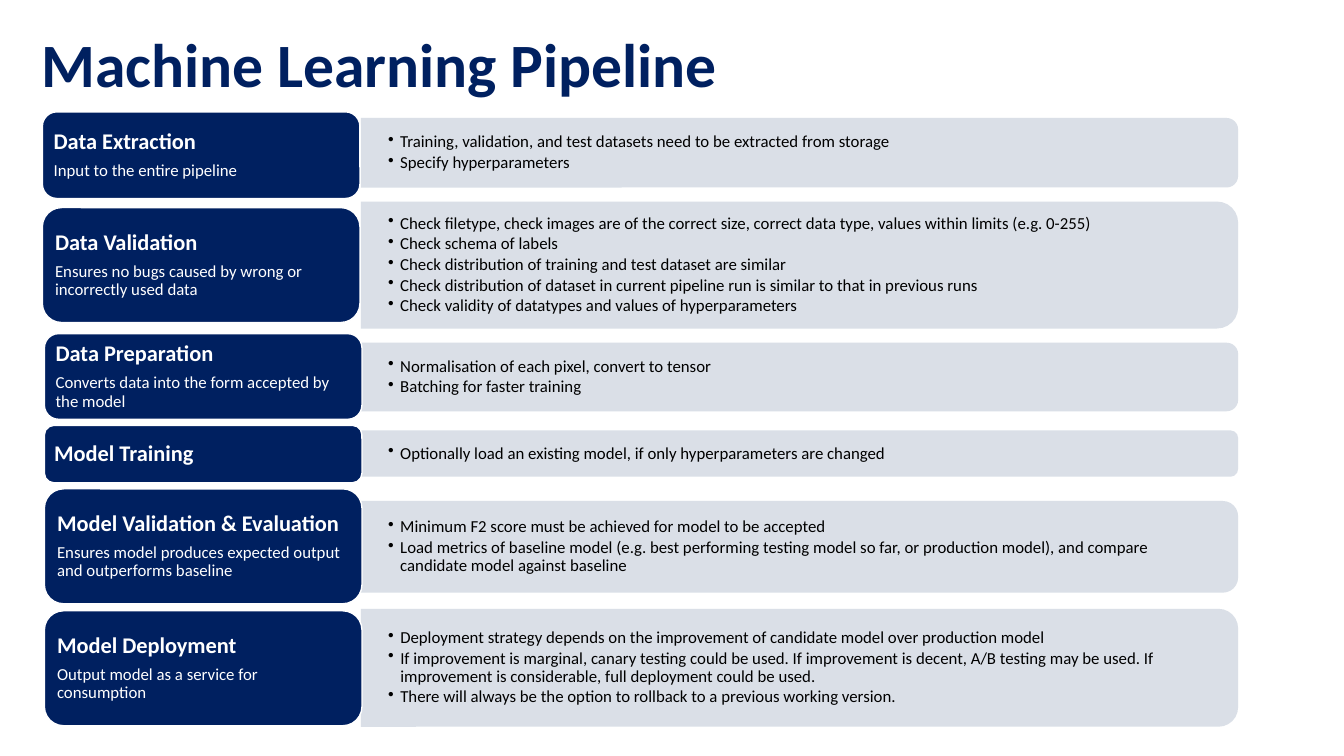
import pptx
import pptx.dml.color
import pptx.enum.shapes
import pptx.enum.text
import pptx.oxml.ns
import pptx.util
from lxml import etree

Inches = pptx.util.Inches
Pt = pptx.util.Pt
RGBColor = pptx.dml.color.RGBColor
Shape = pptx.enum.shapes.MSO_SHAPE
qn = pptx.oxml.ns.qn

NAVY = RGBColor(0x00, 0x20, 0x60)
PALE = RGBColor(0xD6, 0xDC, 0xE5)
WHITE = RGBColor(0xFF, 0xFF, 0xFF)
BLACK = RGBColor(0x00, 0x00, 0x00)

STAGES = [
    (0.42, 1.11, 0.86, 1.17, 0.69, "Data Extraction", "Input to the entire pipeline", [
        "Training, validation, and test datasets need to be extracted from storage",
        "Specify hyperparameters",
    ]),
    (0.42, 2.06, 1.14, 2.0, 1.26, "Data Validation",
     "Ensures no bugs caused by wrong or incorrectly used data", [
        "Check filetype, check images are of the correct size, correct data type, "
        "values within limits (e.g. 0-255)",
        "Check schema of labels",
        "Check distribution of training and test dataset are similar",
        "Check distribution of dataset in current pipeline run is similar to that in previous runs",
        "Check validity of datatypes and values of hyperparameters",
     ]),
    (0.44, 3.31, 0.85, 3.4, 0.68, "Data Preparation",
     "Converts data into the form accepted by the model", [
        "Normalisation of each pixel, convert to tensor",
        "Batching for faster training",
     ]),
    (0.44, 4.22, 0.57, 4.27, 0.46, "Model Training", None, [
        "Optionally load an existing model, if only hyperparameters are changed",
    ]),
    (0.44, 4.85, 1.14, 4.97, 0.91, "Model Validation & Evaluation",
     "Ensures model produces expected output and outperforms baseline", [
        "Minimum F2 score must be achieved for model to be accepted",
        "Load metrics of baseline model (e.g. best performing testing model so far, "
        "or production model), and compare candidate model against baseline",
     ]),
    (0.44, 6.06, 1.14, 6.04, 1.17, "Model Deployment",
     "Output model as a service for consumption", [
        "Deployment strategy depends on the improvement of candidate model over production model",
        "If improvement is marginal, canary testing could be used. If improvement is decent, "
        "A/B testing may be used. If improvement is considerable, full deployment could be used.",
        "There will always be the option to rollback to a previous working version.",
     ]),
]


class PipelineSlide:
    """Holds the pipeline's style and draws its parts on one slide."""

    font = "Calibri"
    card_width = 3.15
    panel_left = 3.58
    panel_width = 8.7

    def __init__(self, slide):
        self.slide = slide

    def frame(self, holder, inset_x, inset_y):
        frame = holder.text_frame
        frame.word_wrap = True
        frame.vertical_anchor = pptx.enum.text.MSO_ANCHOR.MIDDLE
        frame.margin_left = frame.margin_right = Inches(inset_x)
        frame.margin_top = frame.margin_bottom = Inches(inset_y)
        return frame

    def add_lines(self, frame, lines, gap, bullet=False):
        for index, (words, size, color, bold) in enumerate(lines):
            line = frame.add_paragraph() if index else frame.paragraphs[0]
            line.alignment = pptx.enum.text.PP_ALIGN.LEFT
            line.line_spacing = 0.9
            line.space_after = Pt(gap * size)
            if bullet:
                line.level = 1
                props = line._p.get_or_add_pPr()
                props.set("marL", str(Inches(0.12)))
                props.set("indent", str(Inches(-0.12)))
                etree.SubElement(props, qn("a:buChar")).set("char", "•")
            run = line.add_run()
            run.text = words
            run.font.name = self.font
            run.font.size = Pt(size)
            run.font.bold = bold
            run.font.color.rgb = color

    def block(self, kind, left, top, width, height, color):
        block = self.slide.shapes.add_shape(
            kind, Inches(left), Inches(top), Inches(width), Inches(height))
        block.shadow.inherit = False
        block.fill.solid()
        block.fill.fore_color.rgb = color
        return block

    def textbox(self, left, top, width, height):
        return self.slide.shapes.add_textbox(
            Inches(left), Inches(top), Inches(width), Inches(height))

    def title(self, words):
        heading = self.textbox(0.31, 0.2, 11.18, 0.94)
        self.add_lines(self.frame(heading, 0.1, 0.05), [(words, 44, NAVY, True)], 0)

    def panel(self, top, height, details):
        left = self.panel_left + (self.panel_width - height) / 2
        panel = self.block(Shape.ROUND_2_SAME_RECTANGLE, left,
                           top + (height - self.panel_width) / 2,
                           height, self.panel_width, PALE)
        panel.rotation = 90
        panel.line.fill.background()
        tint = panel._element.spPr.find(".//" + qn("a:srgbClr"))
        etree.SubElement(tint, qn("a:alpha")).set("val", "90000")
        inset = 0.05 * height
        notes = self.textbox(self.panel_left, top + inset,
                             self.panel_width - inset, height - 2 * inset)
        self.add_lines(self.frame(notes, 0.27, 0.14),
                       [(detail, 12, BLACK, False) for detail in details], 0.15, bullet=True)

    def card(self, left, top, height, name, purpose):
        card = self.block(Shape.ROUNDED_RECTANGLE, left, top, self.card_width, height, NAVY)
        card.line.color.rgb = WHITE
        card.line.width = Pt(1)
        lines = [(name, 16, WHITE, True)]
        if purpose:
            lines.append((purpose, 12, WHITE, False))
        self.add_lines(self.frame(card, 0.07, 0.03), lines, 0.35)


def main():
    deck = pptx.Presentation()
    deck.slide_width = Inches(13.33)
    deck.slide_height = Inches(7.5)
    pipeline = PipelineSlide(deck.slides.add_slide(deck.slide_layouts[6]))
    for left, top, height, panel_top, panel_height, name, purpose, details in STAGES:
        pipeline.panel(panel_top, panel_height, details)
        pipeline.card(left, top, height, name, purpose)
    pipeline.title("Machine Learning Pipeline")
    deck.save("out.pptx")


if __name__ == "__main__":
    main()
